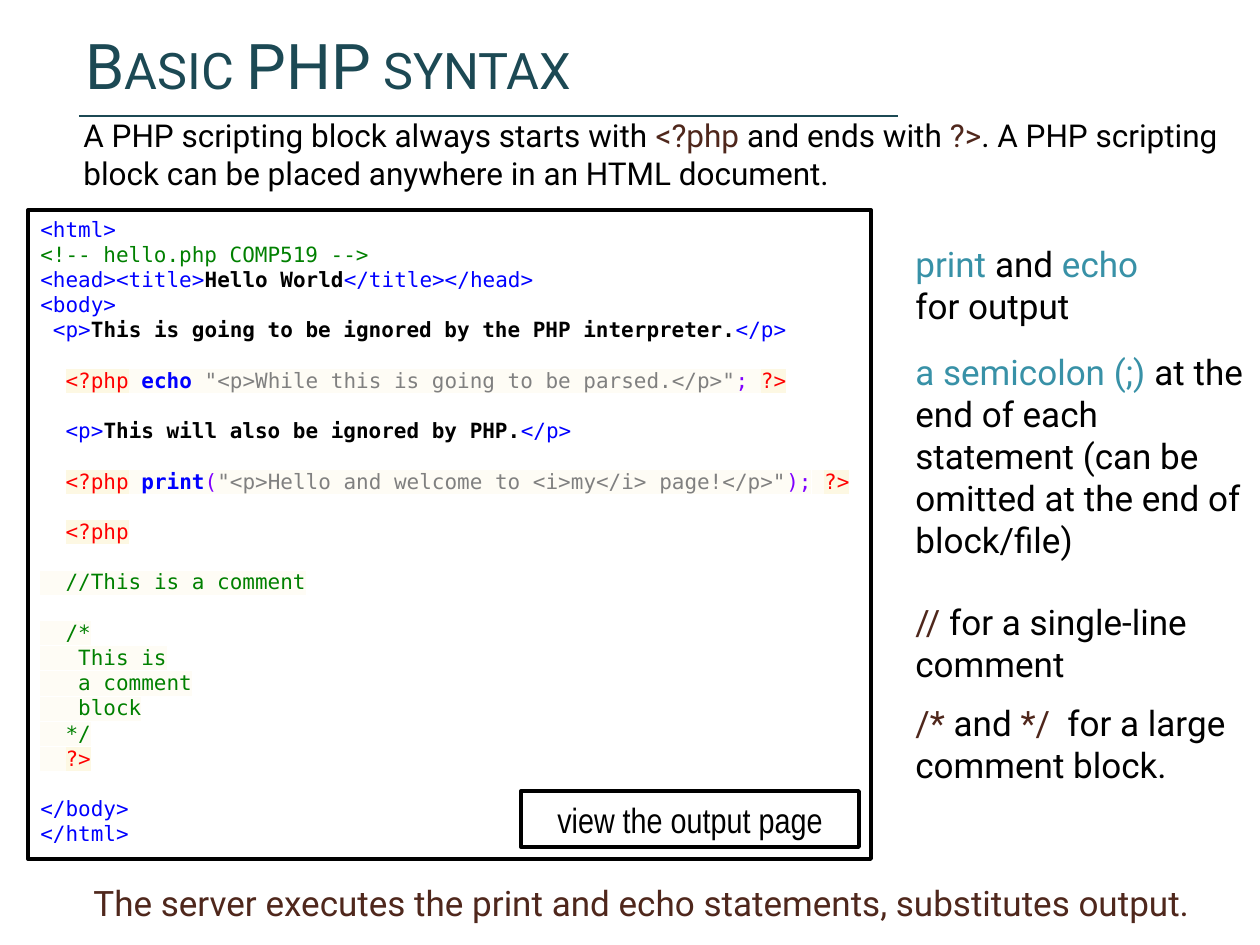
import pptx
import pptx.util
import pptx.dml.color
import pptx.enum.shapes
import pptx.enum.text
import pptx.oxml.ns
from lxml import etree

PX = 914400 / 126
COLORS = {
    "black": "000000", "white": "FFFFFF", "title": "1C4954", "brown": "4F271C",
    "teal": "3891A7", "blue": "0000FF", "green": "008000", "red": "FF0000",
    "gray": "808080", "purple": "8000FF", "cream": "FEFCF5", "sand": "FDF8E3",
}
CODE_STYLES = {
    "tag": ("blue", False, None),
    "content": ("black", True, None),
    "remark": ("green", False, None),
    "delimiter": ("red", False, "sand"),
    "gap": ("black", False, "cream"),
    "keyword": ("blue", True, "cream"),
    "string": ("gray", False, "cream"),
    "symbol": ("purple", False, "cream"),
    "comment": ("green", False, "cream"),
}
OPEN = ("<?php", "delimiter")
CLOSE = ("?>", "delimiter")
INDENT = ("  ", "content")
SHADED_INDENT = ("  ", "gap")
SPACE = (" ", "gap")
CODE_GROUPS = [
    [
        [("<html>", "tag")],
        [("<!-- hello.php COMP519 -->", "remark")],
        [("<head><title>", "tag"), ("Hello World", "content"), ("</title></head>", "tag")],
        [("<body>", "tag")],
        [(" ", "content"), ("<p>", "tag"),
         ("This is going to be ignored by the PHP interpreter.", "content"), ("</p>", "tag")],
    ],
    [[INDENT, OPEN, SPACE, ("echo", "keyword"), SPACE,
      ('"<p>While this is going to be parsed.</p>"', "string"), (";", "symbol"), SPACE, CLOSE]],
    [[INDENT, ("<p>", "tag"), ("This will also be ignored by PHP.", "content"), ("</p>", "tag")]],
    [[INDENT, OPEN, SPACE, ("print", "keyword"), ("(", "symbol"),
      ('"<p>Hello and welcome to <i>my</i> page!</p>"', "string"), (");", "symbol"), SPACE, CLOSE]],
    [[INDENT, OPEN]],
    [[SHADED_INDENT, ("//This is a comment", "comment")]],
    [
        [SHADED_INDENT, ("/*", "comment")],
        [("   This is", "comment")],
        [("   a comment", "comment")],
        [("   block", "comment")],
        [("  */", "comment")],
        [SHADED_INDENT, CLOSE],
    ],
    [[("</body>", "tag")], [("</html>", "tag")]],
]


def px(value):
    return round(value * PX)


def rgb(color):
    return pptx.dml.color.RGBColor.from_string(COLORS[color])


def add_run(paragraph, text, color, size, font="Roboto", bold=False, highlight=None):
    run = paragraph.add_run()
    run.text = text
    run.font.size = pptx.util.Pt(size)
    run.font.name = font
    run.font.bold = bold
    run.font.color.rgb = rgb(color)
    if highlight:
        mark = etree.Element(pptx.oxml.ns.qn("a:highlight"))
        etree.SubElement(mark, pptx.oxml.ns.qn("a:srgbClr"), val=COLORS[highlight])
        run._r.rPr.find(pptx.oxml.ns.qn("a:solidFill")).addnext(mark)
    return run


def add_prose(slide, box, paragraphs, size, space_before=0):
    frame = slide.shapes.add_textbox(*map(px, box)).text_frame
    frame.word_wrap = True
    for index, runs in enumerate(paragraphs):
        paragraph = frame.add_paragraph() if index else frame.paragraphs[0]
        if index:
            paragraph.space_before = pptx.util.Pt(space_before)
        for text, color in runs:
            add_run(paragraph, text, color, size)


def add_outlined_box(slide, box, anchor):
    outlined = slide.shapes.add_shape(
        pptx.enum.shapes.MSO_SHAPE.RECTANGLE, *map(px, box))
    outlined.shadow.inherit = False
    outlined.fill.solid()
    outlined.fill.fore_color.rgb = rgb("white")
    outlined.line.color.rgb = rgb("black")
    outlined.line.width = pptx.util.Pt(2.25)
    outlined.text_frame.word_wrap = True
    outlined.text_frame.vertical_anchor = anchor
    return outlined.text_frame


def add_heading(slide, box):
    left, top, width, height = box
    heading = slide.shapes.add_textbox(*map(px, (left, top, width, height))).text_frame
    heading.word_wrap = True
    heading.vertical_anchor = pptx.enum.text.MSO_ANCHOR.MIDDLE
    title = add_run(heading.paragraphs[0], "Basic PHP syntax", "title", 36)
    title._r.rPr.set("cap", "small")
    rule_y = px(top + height + 14)
    rule = slide.shapes.add_connector(
        pptx.enum.shapes.MSO_CONNECTOR.STRAIGHT, px(left + 6), rule_y, px(left + 825), rule_y)
    rule.line.color.rgb = rgb("title")
    rule.line.width = pptx.util.Pt(0.75)
    etree.SubElement(rule._element.spPr, pptx.oxml.ns.qn("a:effectLst"))


def add_listing(slide, box):
    left, top, width, height = box
    listing = add_outlined_box(slide, box, pptx.enum.text.MSO_ANCHOR.TOP)
    for group_index, group in enumerate(CODE_GROUPS):
        for line_index, line in enumerate(group):
            is_first = group_index == line_index == 0
            paragraph = listing.paragraphs[0] if is_first else listing.add_paragraph()
            paragraph.alignment = pptx.enum.text.PP_ALIGN.LEFT
            if group_index and not line_index:
                paragraph.space_before = pptx.util.Pt(14.4)
            for text, style in line:
                color, bold, highlight = CODE_STYLES[style]
                add_run(paragraph, text, color, 12, "DejaVu Sans Mono", bold, highlight)
    button = add_outlined_box(
        slide, (left + width - 350, top + height - 68, 338, 56),
        pptx.enum.text.MSO_ANCHOR.MIDDLE)
    button.paragraphs[0].alignment = pptx.enum.text.PP_ALIGN.CENTER
    add_run(button.paragraphs[0], "view the output page", "black", 20, "Arial Narrow")


def add_side_notes(slide, box):
    left, top, width, height = box
    add_prose(slide, (left, top, width, 97), [
        [("print ", "teal"), ("and ", "black"), ("echo", "teal")],
        [("for output", "black")],
    ], 20)
    add_prose(slide, (left, top + 108, width, 224), [
        [("a semicolon (;) ", "teal"),
         ("at the end of each statement (can be omitted at the end of block/file)", "black")],
    ], 20)
    add_prose(slide, (left, top + 358, width, height - 358), [
        [("//", "brown"), (" for a single-line comment", "black")],
        [("/*", "brown"), (" and ", "black"), ("*/", "brown"),
         ("  for a large comment block.", "black")],
    ], 20, 10)


def main():
    presentation = pptx.Presentation()
    presentation.slide_width = px(1260)
    presentation.slide_height = px(945)
    slide = presentation.slides.add_slide(presentation.slide_layouts[6])
    add_heading(slide, (73, 26, 1179, 76))
    add_prose(slide, (71, 110, 1186, 100), [[
        ("A PHP scripting block always starts with ", "black"), ("<?php", "brown"),
        (" and ends with ", "black"), ("?>", "brown"),
        (". A PHP scripting block can be placed anywhere in an HTML document.", "black"),
    ]], 18)
    add_listing(slide, (28, 210, 843, 649))
    add_side_notes(slide, (903, 236, 357, 562))
    add_prose(slide, (81, 875, 1179, 54), [[
        ("The server executes the print and echo statements, substitutes output.", "brown"),
    ]], 20)
    presentation.save("out.pptx")


if __name__ == "__main__":
    main()
